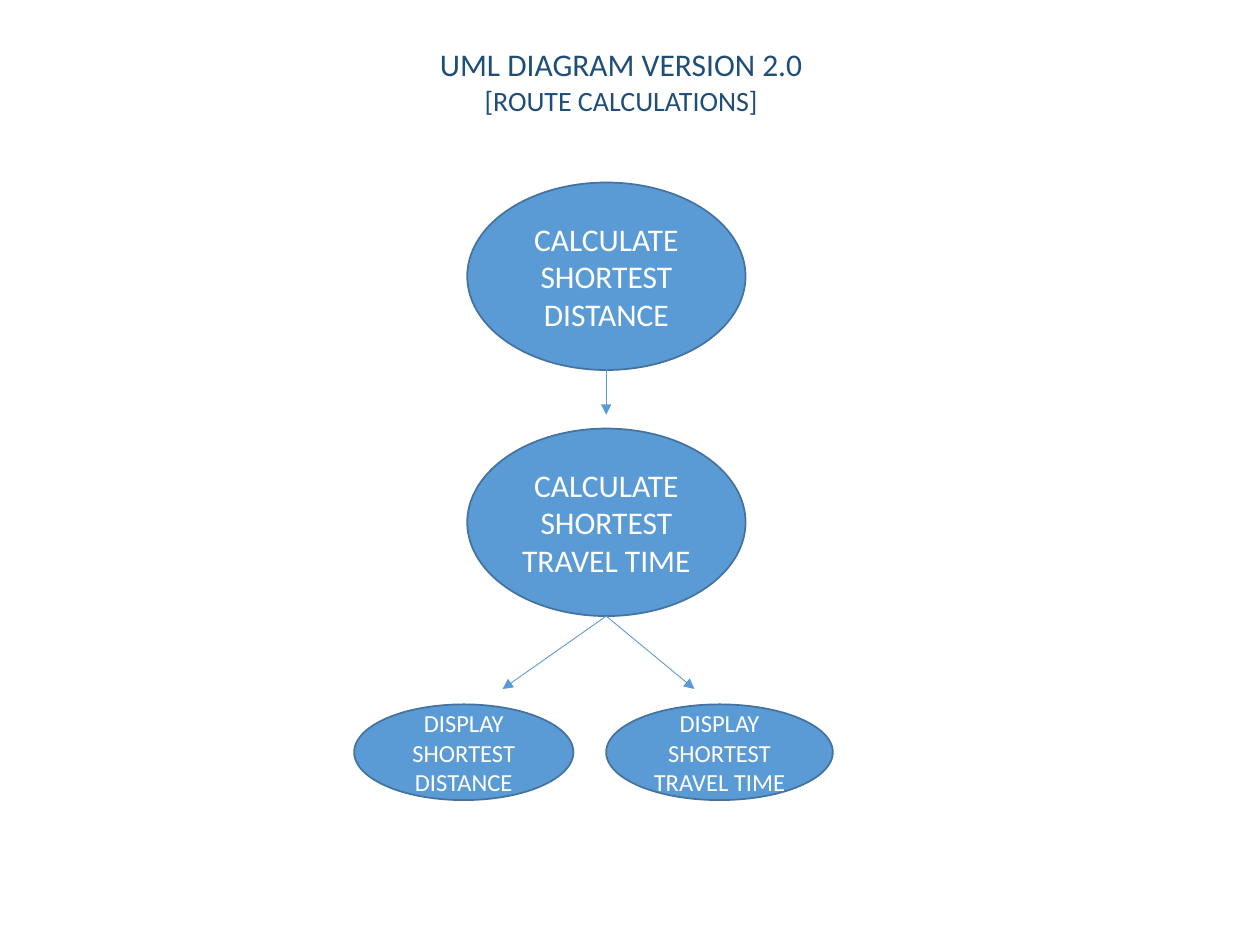
from typing import NamedTuple

from lxml.etree import SubElement
from pptx import Presentation
from pptx.dml.color import RGBColor
from pptx.enum.shapes import MSO_CONNECTOR, MSO_SHAPE
from pptx.enum.text import MSO_ANCHOR, MSO_AUTO_SIZE, PP_ALIGN
from pptx.oxml.ns import qn
from pptx.slide import Slide
from pptx.util import Cm, Pt

FONT = "Calibri"
NAVY = RGBColor(0x1F, 0x4E, 0x79)
BLUE = RGBColor(0x5B, 0x9B, 0xD5)
OUTLINE = RGBColor(0x43, 0x73, 0x9E)
WHITE = RGBColor(0xFF, 0xFF, 0xFF)


class UseCase(NamedTuple):
    text: str
    left: float
    top: float
    width: float
    height: float
    size: int


class Arrow(NamedTuple):
    start: tuple[float, float]
    end: tuple[float, float]


# Positions in centimetres
STEP_LEFT, STEP_WIDTH, STEP_HEIGHT = 9.42, 5.61, 3.78
AXIS = 12.22
DISPLAY_TOP, DISPLAY_HEIGHT = 14.2, 1.93
FORK = (AXIS, 12.42)
FORK_END = 13.89

USE_CASES = [
    UseCase("CALCULATE SHORTEST DISTANCE", STEP_LEFT, 3.68, STEP_WIDTH, STEP_HEIGHT, 18),
    UseCase("CALCULATE SHORTEST TRAVEL TIME", STEP_LEFT, 8.64, STEP_WIDTH, STEP_HEIGHT, 18),
    UseCase("DISPLAY SHORTEST TRAVEL TIME", AXIS, DISPLAY_TOP, 4.57, DISPLAY_HEIGHT, 14),
    UseCase("DISPLAY SHORTEST DISTANCE", 7.14, DISPLAY_TOP, 4.42, DISPLAY_HEIGHT, 14),
]
ARROWS = [
    Arrow((AXIS, 7.16), (AXIS, 8.36)),
    Arrow(FORK, (10.13, FORK_END)),
    Arrow(FORK, (14.0, FORK_END)),
]


def add_title(page: Slide) -> None:
    box = page.shapes.title
    box.left, box.top, box.width, box.height = Cm(8.43), Cm(0.79), Cm(10.44), Cm(1.7)
    frame = box.text_frame
    frame.text = "UML DIAGRAM VERSION 2.0\n[ROUTE CALCULATIONS]"
    frame.auto_size = MSO_AUTO_SIZE.NONE
    frame.vertical_anchor = MSO_ANCHOR.TOP
    frame.margin_right = Cm(2.51)
    for para, size in zip(frame.paragraphs, (18, 16)):
        para.alignment = PP_ALIGN.CENTER
        para.line_spacing = 1.0
        para.space_before = Pt(0)
        para.font.name = FONT
        para.font.size = Pt(size)
        para.font.color.rgb = NAVY


def add_use_case(page: Slide, case: UseCase) -> None:
    oval = page.shapes.add_shape(
        MSO_SHAPE.OVAL, Cm(case.left), Cm(case.top), Cm(case.width), Cm(case.height)
    )
    oval.shadow.inherit = False
    oval.fill.solid()
    oval.fill.fore_color.rgb = BLUE
    oval.line.color.rgb = OUTLINE
    oval.line.width = Pt(1)
    frame = oval.text_frame
    frame.word_wrap = True
    frame.vertical_anchor = MSO_ANCHOR.MIDDLE
    frame.text = case.text
    para = frame.paragraphs[0]
    para.alignment = PP_ALIGN.CENTER
    para.font.name = FONT
    para.font.size = Pt(case.size)
    para.font.color.rgb = WHITE


def add_arrow(page: Slide, arrow: Arrow) -> None:
    points = [Cm(value) for value in (*arrow.start, *arrow.end)]
    connector = page.shapes.add_connector(MSO_CONNECTOR.STRAIGHT, *points)
    connector.line.color.rgb = BLUE
    connector.line.width = Pt(0.5)
    properties = connector.line._get_or_add_ln()
    SubElement(properties, qn("a:tailEnd"), type="triangle")
    SubElement(connector._element.spPr, qn("a:effectLst"))


deck = Presentation()
deck.slide_width, deck.slide_height = Cm(25.4), Cm(19.05)
page = deck.slides.add_slide(deck.slide_layouts[5])

# Heading
add_title(page)

# Use cases and the flow between them
for case in USE_CASES:
    add_use_case(page, case)
for arrow in ARROWS:
    add_arrow(page, arrow)

deck.save("out.pptx")
